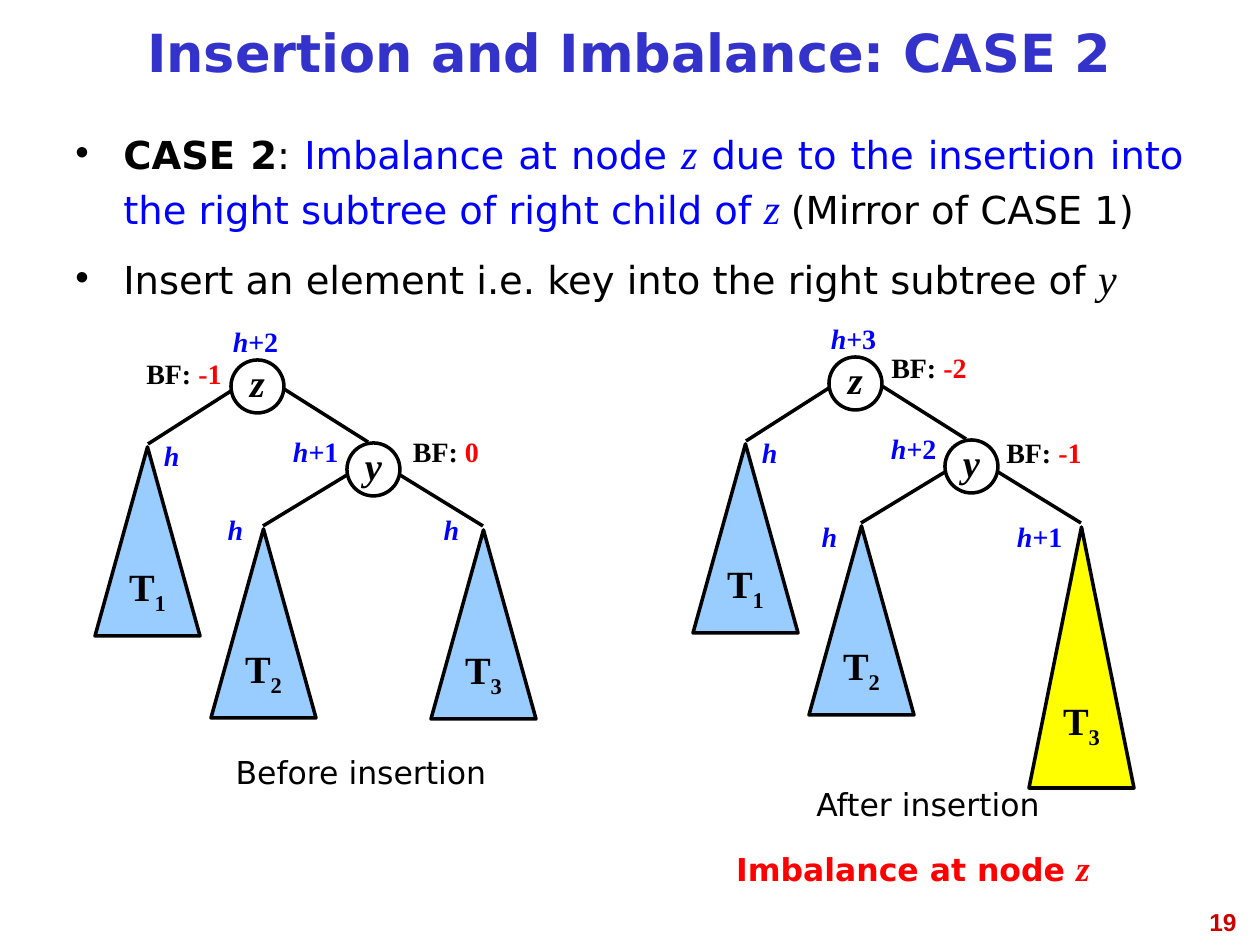
from lxml.etree import SubElement
from pptx import Presentation
from pptx.dml.color import RGBColor
from pptx.enum.shapes import MSO_CONNECTOR, MSO_SHAPE
from pptx.enum.text import MSO_ANCHOR, PP_ALIGN
from pptx.oxml.ns import qn
from pptx.util import Emu, Pt

PIXELS_PER_INCH = 126
BLACK = RGBColor(0x00, 0x00, 0x00)
BLUE = RGBColor(0x00, 0x00, 0xFF)
RED = RGBColor(0xFF, 0x00, 0x00)
TITLE_BLUE = RGBColor(0x33, 0x33, 0xCC)
NUMBER_RED = RGBColor(0xCC, 0x00, 0x00)
SUBTREE_BLUE = RGBColor(0x99, 0xCC, 0xFF)
SUBTREE_YELLOW = RGBColor(0xFF, 0xFF, 0x00)
SANS = "DejaVu Sans"
SERIF = "Times New Roman"

NODE_SIZE = 53
SUBTREE_WIDTH = 105
SUBTREE_HEIGHT = 189
LABEL_HEIGHT = 47


def px(length):
    return Emu(round(length * 914400 / PIXELS_PER_INCH))


def add_run(paragraph, text, size, font=SANS, color=BLACK, bold=False, italic=False):
    run = paragraph.add_run()
    run.text = text
    run.font.size = Pt(size)
    run.font.name = font
    run.font.color.rgb = color
    run.font.bold = bold
    run.font.italic = italic
    return run


def add_text_box(shapes, left, top, width, height, align=PP_ALIGN.CENTER):
    """Add an empty wrapped text box and return its first paragraph."""
    box = shapes.add_textbox(px(left), px(top), px(width), px(height))
    box.text_frame.word_wrap = True
    paragraph = box.text_frame.paragraphs[0]
    paragraph.alignment = align
    return paragraph


def add_bullet(paragraph):
    paragraph.alignment = PP_ALIGN.JUSTIFY
    paragraph.line_spacing = 1.1
    properties = paragraph._p.get_or_add_pPr()
    properties.set("marL", str(px(48)))
    properties.set("indent", str(-px(48)))
    SubElement(properties, qn("a:buFont"), typeface="Arial")
    SubElement(properties, qn("a:buChar"), char="•")


def add_outline_shape(shapes, kind, left, top, width, height):
    """Add a black outlined shape and return it with its centred paragraph."""
    shape = shapes.add_shape(kind, px(left), px(top), px(width), px(height))
    shape.shadow.inherit = False
    shape.line.color.rgb = BLACK
    shape.line.width = Pt(2)
    frame = shape.text_frame
    frame.word_wrap = False
    frame.vertical_anchor = MSO_ANCHOR.MIDDLE
    paragraph = frame.paragraphs[0]
    paragraph.alignment = PP_ALIGN.CENTER
    paragraph.line_spacing = 0.81
    return shape, paragraph


def add_node(shapes, name, left, top):
    shape, paragraph = add_outline_shape(
        shapes, MSO_SHAPE.OVAL, left, top, NODE_SIZE, NODE_SIZE)
    shape.fill.background()
    add_run(paragraph, name, 22, SERIF, bold=True, italic=True)


def add_subtree(shapes, index, left, top, height, color):
    shape, paragraph = add_outline_shape(
        shapes, MSO_SHAPE.ISOSCELES_TRIANGLE, left, top, SUBTREE_WIDTH, height)
    shape.fill.solid()
    shape.fill.fore_color.rgb = color
    add_run(paragraph, "T", 22, SERIF, bold=True)
    subscript = add_run(paragraph, index, 22, SERIF, bold=True)
    subscript.font._element.set("baseline", "-25000")


def add_edge(shapes, start, end):
    edge = shapes.add_connector(
        MSO_CONNECTOR.STRAIGHT, *(px(value) for value in (*start, *end)))
    edge.line.color.rgb = BLACK
    edge.line.width = Pt(2)
    SubElement(edge._element.spPr, qn("a:effectLst"))


def add_height_label(shapes, left, top, italic_part, upright_part=""):
    paragraph = add_text_box(shapes, left, top, SUBTREE_WIDTH, LABEL_HEIGHT)
    add_run(paragraph, italic_part, 16, SERIF, BLUE, True, True)
    if upright_part:
        add_run(paragraph, upright_part, 16, SERIF, BLUE, True)


def add_balance_label(shapes, left, top, factor):
    paragraph = add_text_box(shapes, left, top, 136, LABEL_HEIGHT)
    add_run(paragraph, "BF: ", 16, SERIF, bold=True)
    add_run(paragraph, factor, 16, SERIF, RED, True)


def add_tree(slide, x, y, last_height, last_color, height_labels, balance_labels):
    """Draw a tree whose root node z has its top left corner at x, y."""
    shapes = slide.shapes.add_group_shape().shapes
    edges = [((53, 29), (137, 82)), ((-83, 84), (0, 31)),
             ((169, 115), (252, 166)), ((32, 166), (116, 115))]
    for start, end in edges:
        add_edge(shapes, (x + start[0], y + start[1]), (x + end[0], y + end[1]))
    add_node(shapes, "z", x, y)
    add_node(shapes, "y", x + 116, y + 83)
    subtrees = [("1", -136, 87, SUBTREE_HEIGHT, SUBTREE_BLUE),
                ("2", -20, 169, SUBTREE_HEIGHT, SUBTREE_BLUE),
                ("3", 200, 170, last_height, last_color)]
    for index, left, top, height, color in subtrees:
        add_subtree(shapes, index, x + left, y + top, height, color)
    for left, top, *parts in height_labels:
        add_height_label(shapes, x + left, y + top, *parts)
    for left, top, factor in balance_labels:
        add_balance_label(shapes, x + left, y + top, factor)


def add_title(slide):
    title = slide.shapes.title
    title.left, title.top, title.width, title.height = px(63), px(10), px(1133), px(95)
    title.text_frame.vertical_anchor = MSO_ANCHOR.MIDDLE
    paragraph = title.text_frame.paragraphs[0]
    paragraph.alignment = PP_ALIGN.CENTER
    paragraph.line_spacing = 0.81
    add_run(paragraph, "Insertion and Imbalance: CASE 2", 30, SANS, TITLE_BLUE, True)


def add_explanation(slide):
    box = slide.shapes.add_textbox(px(63), px(116), px(1133), px(210))
    box.text_frame.word_wrap = True
    case = box.text_frame.paragraphs[0]
    add_bullet(case)
    add_run(case, "CASE 2", 22, bold=True)
    add_run(case, ": ", 22)
    add_run(case, "Imbalance at node ", 22, color=BLUE)
    add_run(case, "z", 24, SERIF, BLUE, italic=True)
    add_run(case, " due to the insertion into the right subtree of right child of ",
            22, color=BLUE)
    add_run(case, "z ", 24, SERIF, BLUE, italic=True)
    add_run(case, "(Mirror of CASE 1)", 22)

    step = box.text_frame.add_paragraph()
    add_bullet(step)
    step.space_before = Pt(8)
    add_run(step, "Insert an element i.e. key into the right subtree of ", 22)
    add_run(step, "y", 24, SERIF, italic=True)


def main():
    presentation = Presentation()
    presentation.slide_width, presentation.slide_height = px(1260), px(945)
    slide = presentation.slides.add_slide(presentation.slide_layouts[5])
    add_title(slide)
    add_explanation(slide)

    # Trees: labels are placed relative to the root node
    add_tree(slide, 231, 360, SUBTREE_HEIGHT, SUBTREE_BLUE,
             [(-112, 72, "h"), (-28, -42, "h", "+2"), (32, 68, "h+", "1"),
              (-48, 146, "h"), (168, 146, "h")],
             [(-115, -10, "-1"), (147, 68, "0")])
    add_tree(slide, 829, 357, 261, SUBTREE_YELLOW,
             [(-112, 72, "h"), (-28, -42, "h", "+3"), (32, 68, "h+", "2"),
              (-52, 156, "h"), (158, 156, "h+", "1")],
             [(32, -13, "-2"), (147, 72, "-1")])

    # Captions
    for text, left, top in [("Before insertion", 176, 747), ("After insertion", 743, 779)]:
        add_run(add_text_box(slide.shapes, left, top, 370, 50), text, 18)
    conclusion = add_text_box(slide.shapes, 649, 840, 528, 55)
    add_run(conclusion, "Imbalance at node ", 18, SANS, RED, True)
    add_run(conclusion, "z", 20, SERIF, RED, True, True)

    # Slide number
    number = add_text_box(slide.shapes, 955, 901, 294, 66, PP_ALIGN.RIGHT)
    add_run(number, "19", 14, "Arial", NUMBER_RED, True)
    presentation.save("out.pptx")


if __name__ == "__main__":
    main()
